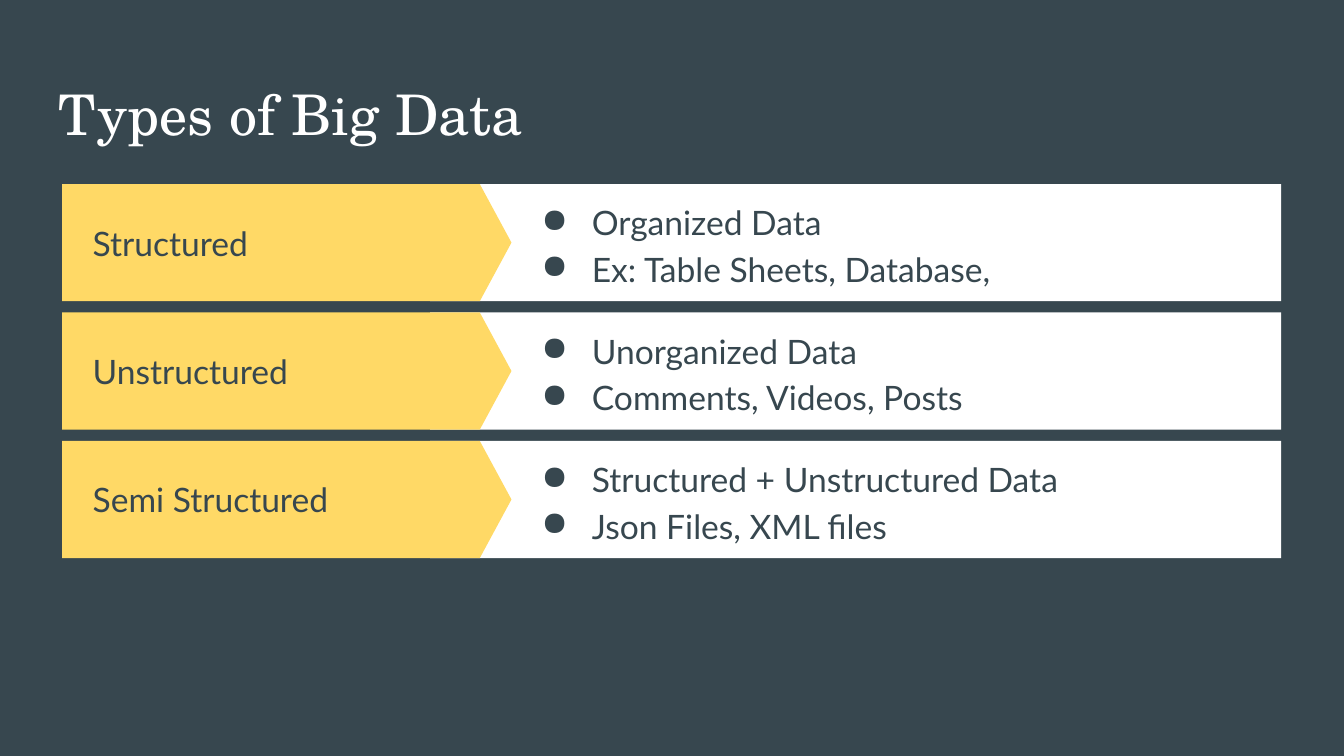
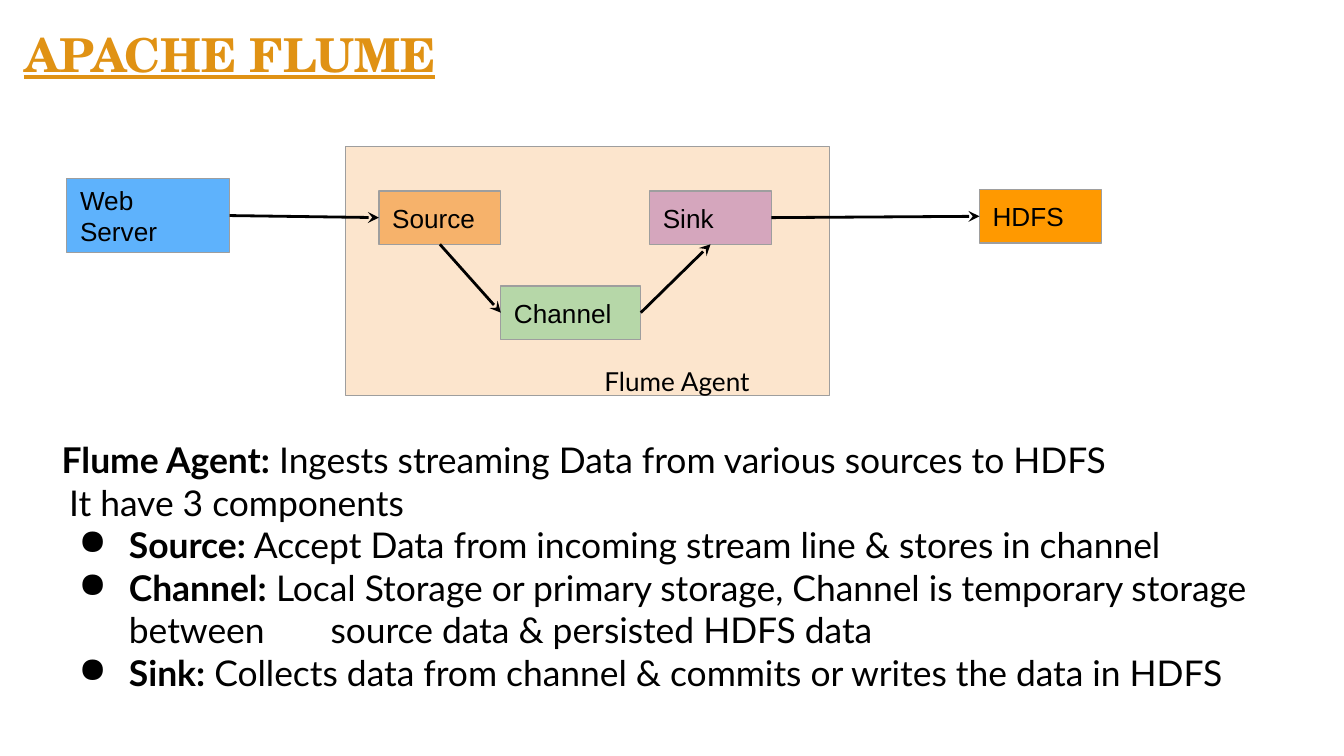
from lxml.etree import SubElement
from pptx import Presentation
from pptx.dml.color import RGBColor
from pptx.enum.shapes import MSO_CONNECTOR, MSO_SHAPE
from pptx.enum.text import MSO_ANCHOR, PP_ALIGN
from pptx.oxml.ns import qn
from pptx.util import Pt

SLATE, WHITE, BLACK = "37474F", "FFFFFF", "000000"
YELLOW, AMBER, GREY = "FFD966", "E09214", "9E9E9E"
SERIF, SANS, LABEL = "TeX Gyre Schola", "Lato", "Arial"
INSET = 7.2
TOP, LEFT, BOTTOM, RIGHT = 0, 1, 2, 3

ROW_TOP, ROW_HEIGHT, ROW_PITCH = 98.6, 62.8, 68.8
DATA_TYPES = [
    ("Structured", ["Organized Data", "Ex: Table Sheets, Database,"]),
    ("Unstructured", ["Unorganized Data", "Comments, Videos, Posts"]),
    ("Semi Structured", ["Structured + Unstructured Data", "Json Files, XML files"]),
]
COMPONENTS = [
    ("Source:", " Accept Data from incoming stream line & stores in channel"),
    ("Channel:", " Local Storage or primary storage, Channel is temporary storage "
                 "between\tsource data & persisted HDFS data"),
    ("Sink:", " Collects data from channel & commits or writes the data in HDFS"),
]


def rgb(hex_colour):
    return RGBColor.from_string(hex_colour)


def add_slide(deck, background):
    slide = deck.slides.add_slide(deck.slide_layouts[6])
    slide.background.fill.solid()
    slide.background.fill.fore_color.rgb = rgb(background)
    return slide


def set_frame(frame, anchor):
    frame.word_wrap = True
    frame.vertical_anchor = anchor
    frame.margin_left = frame.margin_right = Pt(INSET)
    frame.margin_top = frame.margin_bottom = Pt(INSET)


def style(paragraph, size, font, colour, bold=False, underline=False):
    paragraph.alignment = PP_ALIGN.LEFT
    for run in paragraph.runs:
        run.font.size = Pt(size)
        run.font.name = font
        run.font.color.rgb = rgb(colour)
        run.font.bold = bold
        run.font.underline = underline


def add_text(slide, box, text, size, font, colour, anchor=MSO_ANCHOR.TOP, **emphasis):
    """Add a text box; each line of text becomes a paragraph."""
    frame = slide.shapes.add_textbox(*map(Pt, box)).text_frame
    set_frame(frame, anchor)
    frame.text = text
    for paragraph in frame.paragraphs:
        style(paragraph, size, font, colour, **emphasis)
    return frame


def add_title(slide, left, top, text, size, colour, **emphasis):
    add_text(slide, (left, top, 671, 45), text, size, SERIF, colour, **emphasis)


def add_bullet(paragraph, colour):
    properties = paragraph._p.get_or_add_pPr()
    properties.set("marL", str(Pt(36)))
    properties.set("indent", str(Pt(-27)))
    bullet_colour = SubElement(properties, qn("a:buClr"))
    SubElement(bullet_colour, qn("a:srgbClr")).set("val", colour)
    SubElement(properties, qn("a:buChar")).set("char", "●")


def add_block(slide, kind, box, fill, outline=None):
    block = slide.shapes.add_shape(kind, *map(Pt, box))
    block.shadow.inherit = False
    block.fill.solid()
    block.fill.fore_color.rgb = rgb(fill)
    if outline:
        block.line.color.rgb = rgb(outline)
        block.line.width = Pt(0.75)
    else:
        block.line.fill.background()
    return block


def add_node(slide, box, label, fill):
    node = add_block(slide, MSO_SHAPE.RECTANGLE, box, fill, GREY)
    set_frame(node.text_frame, MSO_ANCHOR.MIDDLE)
    node.text_frame.text = label
    style(node.text_frame.paragraphs[0], 14, LABEL, BLACK)
    return node


def add_arrow(slide, start, start_side, end, end_side):
    arrow = slide.shapes.add_connector(MSO_CONNECTOR.STRAIGHT, 0, 0, 0, 0)
    arrow.begin_connect(start, start_side)
    arrow.end_connect(end, end_side)
    arrow.line.color.rgb = rgb(BLACK)
    arrow.line.width = Pt(1.5)
    properties = arrow._element.spPr
    SubElement(properties.find(qn("a:ln")), qn("a:tailEnd")).set("type", "stealth")
    SubElement(properties, qn("a:effectLst"))


def add_type_row(slide, top, name, facts):
    add_block(slide, MSO_SHAPE.RECTANGLE, (230.4, top, 456, ROW_HEIGHT), WHITE)
    banner = add_block(slide, MSO_SHAPE.PENTAGON, (33.3, top, 240.7, ROW_HEIGHT), YELLOW)
    banner.adjustments[0] = 0.27
    add_text(slide, (42.6, top, 191, ROW_HEIGHT), name, 18, SANS, SLATE, MSO_ANCHOR.MIDDLE)
    fact_frame = add_text(slide, (274, top, 402.5, ROW_HEIGHT), "\n".join(facts),
                          18, SANS, SLATE, MSO_ANCHOR.MIDDLE)
    for paragraph in fact_frame.paragraphs:
        add_bullet(paragraph, SLATE)
        paragraph.line_spacing = 1.15


def add_definition(paragraph, term, meaning):
    for part in (term, meaning):
        paragraph.add_run().text = part
    style(paragraph, 19, SANS, BLACK)
    paragraph.runs[0].font.bold = True


def add_explanation(slide):
    frame = add_text(slide, (26, 227.5, 657.5, 175.5), "", 19, SANS, BLACK)
    add_definition(frame.paragraphs[0], "Flume Agent:",
                   " Ingests streaming Data from various sources to HDFS")
    count = frame.add_paragraph()
    count.text = "It have 3 components"
    count._p.get_or_add_pPr().set("marL", str(Pt(4)))
    style(count, 19, SANS, BLACK)
    for term, meaning in COMPONENTS:
        paragraph = frame.add_paragraph()
        add_bullet(paragraph, BLACK)
        add_definition(paragraph, term, meaning)


def add_flume_diagram(slide):
    add_block(slide, MSO_SHAPE.RECTANGLE, (185, 78.5, 259.3, 133.3), "FCE5CD", GREY)
    source = add_node(slide, (203, 102.3, 65.3, 28.6), "Source", "F6B26B")
    channel = add_node(slide, (268.3, 153.2, 75, 28.6), "Channel", "B6D7A8")
    sink = add_node(slide, (348, 102.3, 65.3, 28.6), "Sink", "D5A6BD")
    hdfs = add_node(slide, (524.7, 101.6, 65.3, 28.6), "HDFS", "FF9900")
    web_server = add_node(slide, (35.8, 95.8, 87.2, 39.4), "Web Server", "5EB2FC")
    add_arrow(slide, web_server, RIGHT, source, LEFT)
    add_arrow(slide, source, BOTTOM, channel, LEFT)
    add_arrow(slide, channel, RIGHT, sink, BOTTOM)
    add_arrow(slide, sink, RIGHT, hdfs, LEFT)
    add_text(slide, (316.7, 188.6, 93.6, 31.7), "Flume Agent", 14, SANS, BLACK)


def main():
    deck = Presentation()
    deck.slide_width, deck.slide_height = Pt(720), Pt(405)

    types_slide = add_slide(deck, SLATE)
    add_title(types_slide, 24.5, 35.3, "Types of Big Data", 30, WHITE)
    for row, (name, facts) in enumerate(DATA_TYPES):
        add_type_row(types_slide, ROW_TOP + row * ROW_PITCH, name, facts)

    flume_slide = add_slide(deck, WHITE)
    add_title(flume_slide, 5.8, 6.5, "APACHE FLUME", 25, AMBER, bold=True, underline=True)
    add_explanation(flume_slide)
    add_flume_diagram(flume_slide)

    deck.save("out.pptx")


if __name__ == "__main__":
    main()
